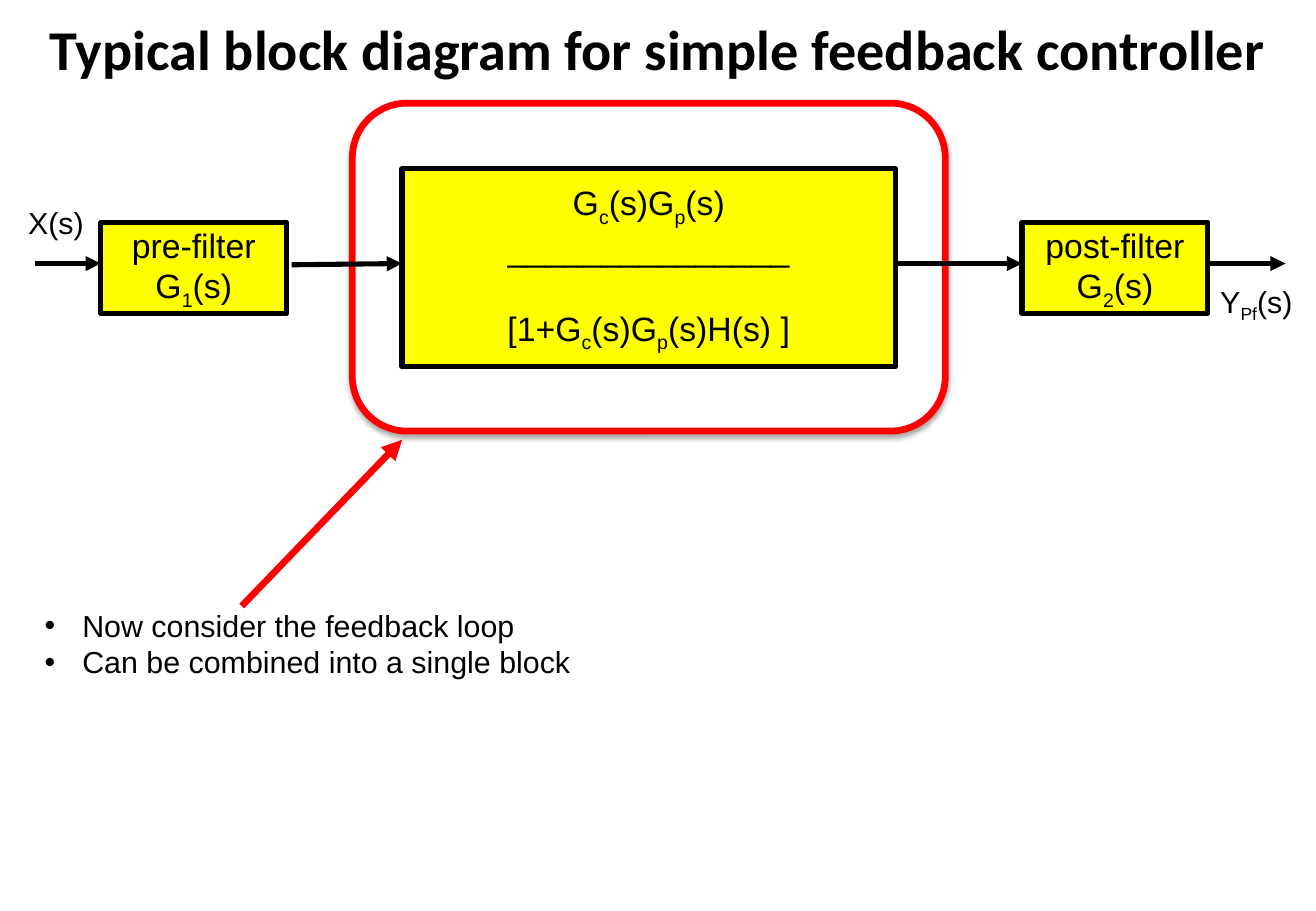
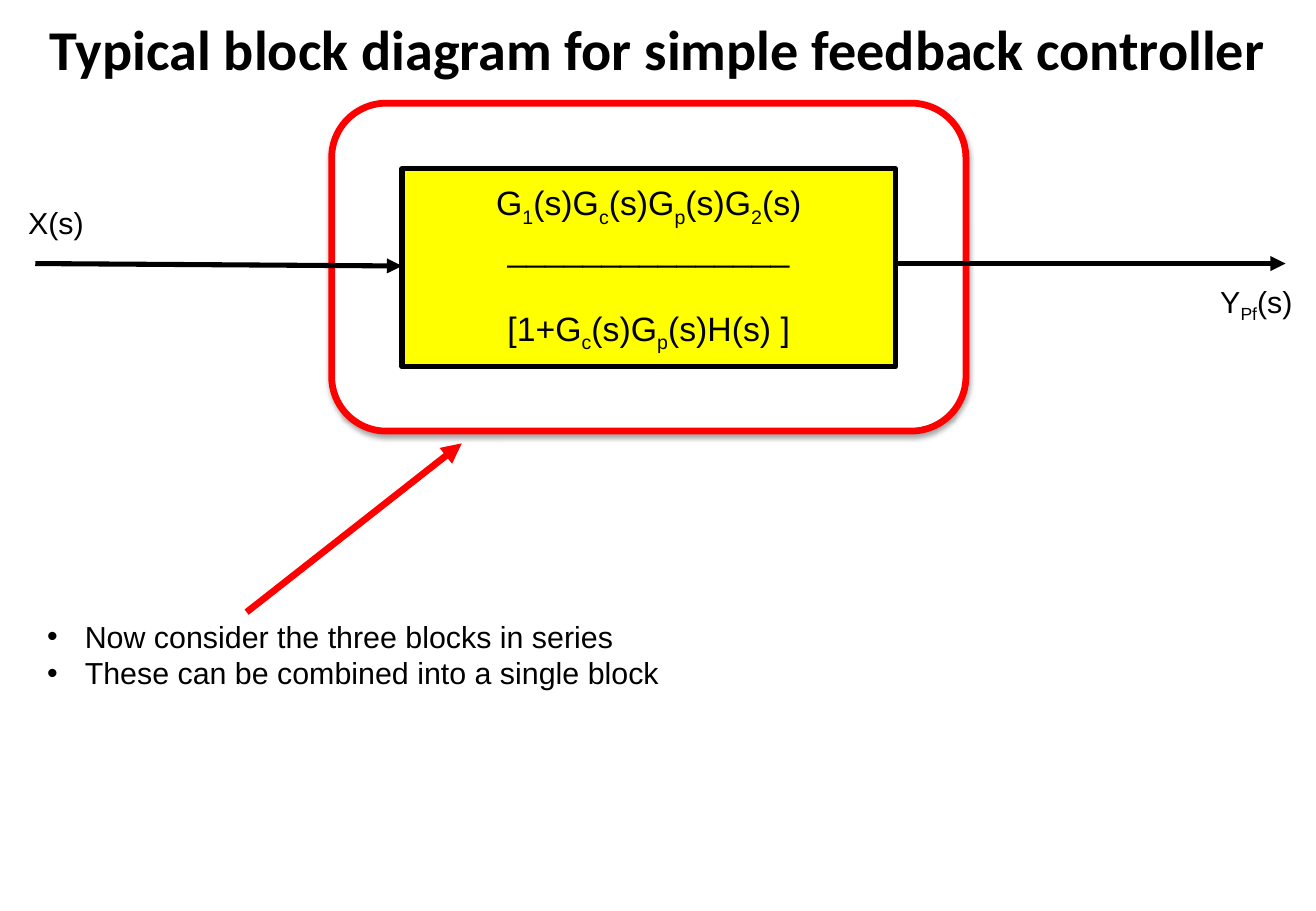
from lxml import etree
from pptx import Presentation
from pptx.dml.color import RGBColor
from pptx.enum.shapes import MSO_CONNECTOR, MSO_SHAPE
from pptx.enum.text import MSO_ANCHOR, MSO_AUTO_SIZE, PP_ALIGN
from pptx.oxml.ns import qn
from pptx.util import Inches, Pt

RECT, ROUNDED = MSO_SHAPE.RECTANGLE, MSO_SHAPE.ROUNDED_RECTANGLE
STRAIGHT = MSO_CONNECTOR.STRAIGHT
CENTER, LEFT = PP_ALIGN.CENTER, PP_ALIGN.LEFT
MIDDLE, TOP = MSO_ANCHOR.MIDDLE, MSO_ANCHOR.TOP
FIT_SHAPE = MSO_AUTO_SIZE.SHAPE_TO_FIT_TEXT

WIDTH, HEIGHT = Inches(10.83), Inches(7.5)
BLACK, WHITE, RED, YELLOW = "000000", "FFFFFF", "FF0000", "FFFF00"
BODY_FONT, TITLE_FONT = "Arial", "Calibri"
TITLE = "Typical block diagram for simple feedback controller"

# Positions are percentages of the slide's width (x) and height (y).
CENTER_X, SIGNAL_Y = 49.3, 28.93
BLOCK_W = 37.5
BLOCK_LEFT, BLOCK_RIGHT = CENTER_X - BLOCK_W / 2, CENTER_X + BLOCK_W / 2
FILTER_W = 14.13
PRE_X, POST_X = 7.66, 77.66
SIGNAL_START, SIGNAL_END = 2.68, 97.69
FRACTION_BAR = "_" * 15
DENOMINATOR = "[1+G{c}(s)G{p}(s)H(s) ]"


def color(value):
    return RGBColor.from_string(value)


def x(share):
    return round(WIDTH * share / 100)


def y(share):
    return round(HEIGHT * share / 100)


def area(left, top, width, height):
    return x(left), y(top), x(width), y(height)


def set_line(item, value, width):
    item.line.color.rgb = color(value)
    item.line.width = Pt(width)


def write(tf, lines, size, font=BODY_FONT, bold=False, align=CENTER, anchor=TOP):
    """Fill a text frame; parts of a line in braces become subscripts."""
    tf.vertical_anchor = anchor
    for i, line in enumerate(lines):
        p = tf.paragraphs[0] if i == 0 else tf.add_paragraph()
        p.alignment = align
        for j, part in enumerate(line.replace("}", "{").split("{")):
            r = p.add_run()
            r.text = part
            r.font.size, r.font.name, r.font.bold = Pt(size), font, bold
            r.font.color.rgb = color(BLACK)
            if j % 2:
                r._r.get_or_add_rPr().set("baseline", "-25000")


def add_text(slide, box, lines, size=18, **style):
    """Add an unwrapped text box that fits its text."""
    tf = slide.shapes.add_textbox(*area(*box)).text_frame
    tf.word_wrap = False
    tf.auto_size = FIT_SHAPE
    write(tf, lines, size, **style)
    return tf


def add_title(slide):
    tf = slide.shapes.add_textbox(*area(0, 0, 100, 10.53)).text_frame
    tf.word_wrap = True
    write(tf, [TITLE], 33.3, TITLE_FONT, bold=True, anchor=MIDDLE)


def add_bullets(slide, box, lines):
    tf = add_text(slide, box, lines, align=LEFT)
    indent = Inches(0.31)
    for p in tf.paragraphs:
        pPr = p._p.get_or_add_pPr()
        pPr.set("marL", str(indent))
        pPr.set("indent", str(-indent))
        etree.SubElement(pPr, qn("a:buFont"), typeface=BODY_FONT)
        etree.SubElement(pPr, qn("a:buChar"), char="•")


def add_block(slide, box, lines):
    sp = slide.shapes.add_shape(RECT, *area(*box))
    sp.shadow.inherit = False
    sp.fill.solid()
    sp.fill.fore_color.rgb = color(YELLOW)
    set_line(sp, BLACK, 3)
    sp.text_frame.word_wrap = False
    write(sp.text_frame, lines, 20, anchor=MIDDLE)
    return sp


def add_loop_block(slide, numerator):
    """Add the large block with its transfer function as a fraction."""
    sp = add_block(slide, (BLOCK_LEFT, 18.53, BLOCK_W, 21.73),
                   [numerator, FRACTION_BAR, DENOMINATOR])
    sp.text_frame.paragraphs[-1].space_before = Pt(23)


def add_filter(slide, left, name, gain):
    add_block(slide, (left, 24.4, FILTER_W, 10), [name, gain])


def add_frame(slide, width):
    """Add the red outline around the blocks, with a soft shadow below."""
    box = area(CENTER_X - width / 2, 11.33, width, 36)
    sp = slide.shapes.add_shape(ROUNDED, *box)
    sp.fill.solid()
    sp.fill.fore_color.rgb = color(WHITE)
    set_line(sp, RED, 4)
    sp.shadow.inherit = False
    effects = sp._element.spPr.find(qn("a:effectLst"))
    shadow = etree.SubElement(
        effects, qn("a:outerShdw"), blurRad=str(Pt(3.1)), dist=str(Pt(1.8)),
        dir="5400000", rotWithShape="0")
    tint = etree.SubElement(shadow, qn("a:srgbClr"), val=BLACK)
    etree.SubElement(tint, qn("a:alpha"), val="35000")


def add_arrow(slide, start, end, value=BLACK, width=3):
    line = slide.shapes.add_connector(
        STRAIGHT, x(start[0]), y(start[1]), x(end[0]), y(end[1]))
    set_line(line, value, width)
    etree.SubElement(line.line._get_or_add_ln(), qn("a:tailEnd"), type="triangle")
    etree.SubElement(line._element.spPr, qn("a:effectLst"))


def add_diagram(prs, frame_width, numerator, arrows, pointer, notes_box, notes):
    """Add a slide with the title, framed block, signals and comments."""
    slide = prs.slides.add_slide(prs.slide_layouts[6])
    add_title(slide)
    add_frame(slide, frame_width)
    add_loop_block(slide, numerator)
    for start, end in arrows:
        add_arrow(slide, start, end)
    add_arrow(slide, *pointer, RED, 4)
    add_text(slide, (91.69, 30.4, 7.57, 5.33), ["Y{Pf}(s)"])
    add_text(slide, (1.2, 21.73, 6.09, 5.33), ["X(s)"])
    add_bullets(slide, notes_box, notes)
    return slide


def main():
    prs = Presentation()
    prs.slide_width, prs.slide_height = WIDTH, HEIGHT

    signal_in = (SIGNAL_START, SIGNAL_Y)
    signal_out = (SIGNAL_END, SIGNAL_Y)
    block_in, block_out = (BLOCK_LEFT, SIGNAL_Y), (BLOCK_RIGHT, SIGNAL_Y)

    slide = add_diagram(
        prs, 45.06, "G{c}(s)G{p}(s)",
        [(signal_in, (PRE_X, SIGNAL_Y)),
         ((22.16, 29.07), block_in),
         (block_out, (POST_X, SIGNAL_Y)),
         ((POST_X + FILTER_W, SIGNAL_Y), signal_out)],
        ((18.37, 66.53), (30.56, 48.27)),
        (2.49, 66, 42.2, 9.47),
        ["Now consider the feedback loop",
         "Can be combined into a single block"])
    add_filter(slide, PRE_X, "pre-filter", "G{1}(s)")
    add_filter(slide, POST_X, "post-filter", "G{2}(s)")

    add_diagram(
        prs, 48.2, "G{1}(s)G{c}(s)G{p}(s)G{2}(s)",
        [(signal_in, (BLOCK_LEFT, 29.2)), (block_out, signal_out)],
        ((18.74, 67.2), (35.09, 48.67)),
        (2.68, 67.2, 48.85, 9.47),
        ["Now consider the three blocks in series",
         "These can be combined into a single block"])

    prs.save("out.pptx")


if __name__ == "__main__":
    main()
